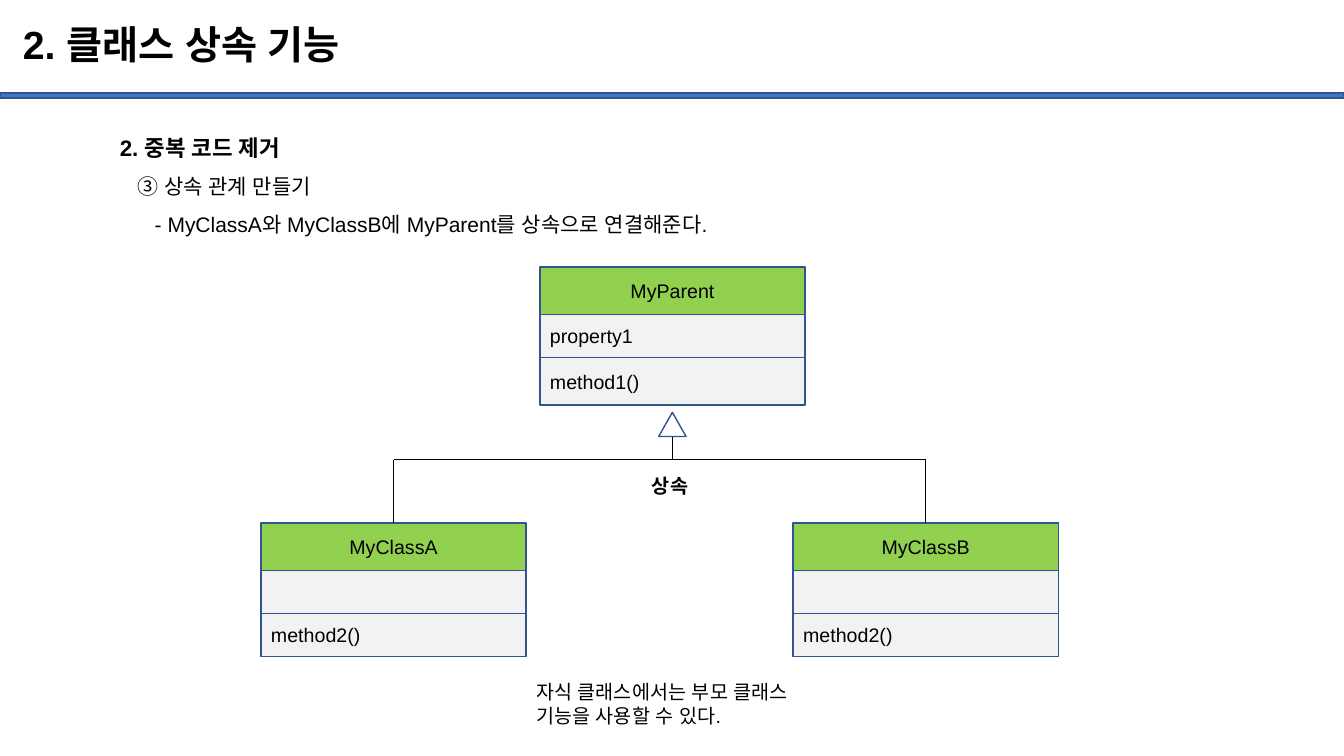
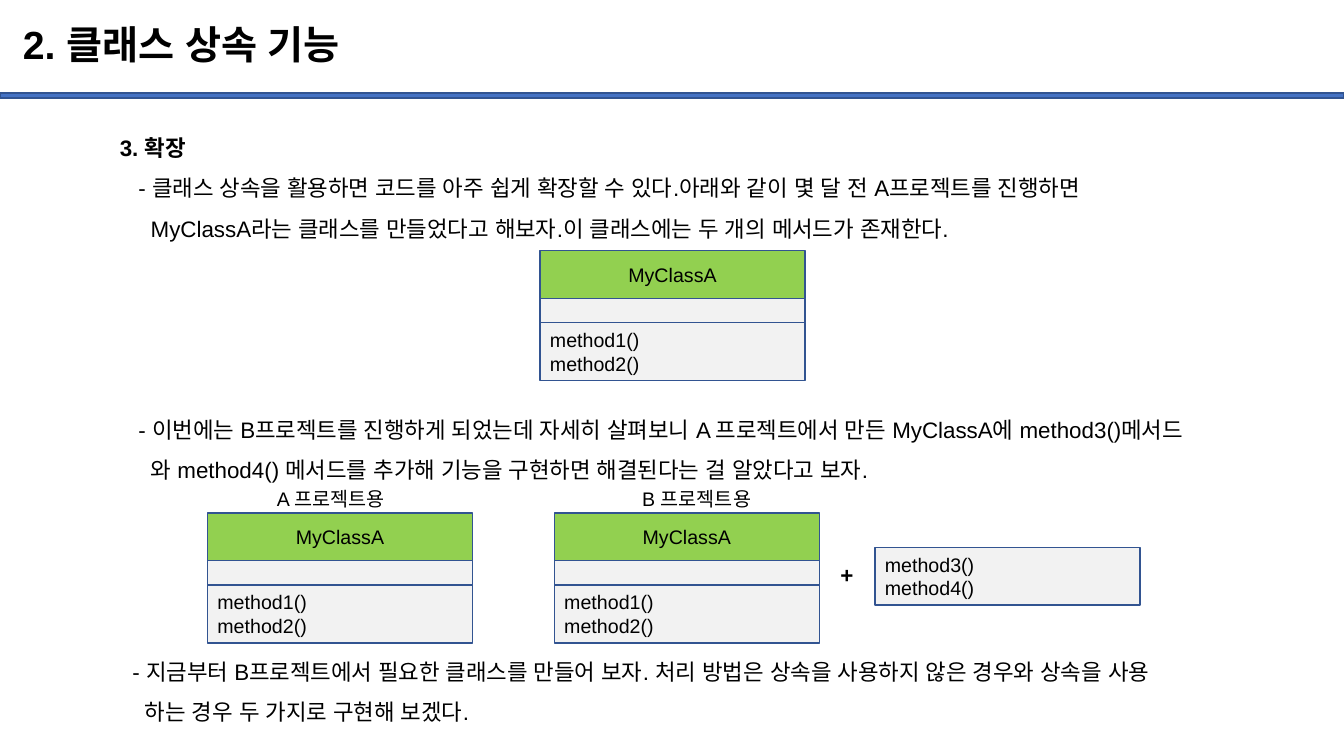
from copy import deepcopy

from lxml.etree import SubElement
from pptx import Presentation
from pptx.dml.color import RGBColor
from pptx.enum.lang import MSO_LANGUAGE_ID
from pptx.enum.shapes import MSO_CONNECTOR, MSO_SHAPE
from pptx.enum.text import MSO_ANCHOR, MSO_AUTO_SIZE, PP_ALIGN
from pptx.oxml.ns import qn
from pptx.util import Cm, Pt

COLORS = {
    "band": "4472C4",
    "outline": "325491",
    "header": "92D050",
    "member": "F2F2F2",
    "ink": "000000",
}
FONT = "Arial"
TITLE = "2. 클래스 상속 기능"
BOX_WIDTH = 6.68
HEADER, MEMBER, EMPTY, TWO_METHODS = 1.2, 1.08, 0.61, 1.46


def format_text(paragraphs, size, bold=False):
    for paragraph in paragraphs:
        for run in paragraph.runs:
            run.font.name = FONT
            run.font.size = Pt(size)
            run.font.bold = bold
            run.font.color.rgb = RGBColor.from_string(COLORS["ink"])
            run.font.language_id = MSO_LANGUAGE_ID.KOREAN
            SubElement(run._r.rPr, qn("a:ea"), typeface=FONT)
        # Line breaks take the size of the text around them
        for line_break in paragraph._p.findall(qn("a:br")):
            line_break.append(deepcopy(paragraph.runs[0]._r.rPr))


def add_class_box(slide, left, top, rows):
    """Stack rows of (height, colour name, text) and return the top one."""
    stack = []
    for height, color, text in rows:
        row = slide.shapes.add_shape(
            MSO_SHAPE.RECTANGLE, Cm(left), Cm(top), Cm(BOX_WIDTH), Cm(height))
        row.shadow.inherit = False
        row.fill.solid()
        row.fill.fore_color.rgb = RGBColor.from_string(COLORS[color])
        row.line.color.rgb = RGBColor.from_string(COLORS["outline"])
        row.line.width = Pt(1)
        if text:
            row.text_frame.text = text
            row.text_frame.vertical_anchor = MSO_ANCHOR.MIDDLE
            for paragraph in row.text_frame.paragraphs:
                paragraph.alignment = PP_ALIGN.CENTER if color == "header" else PP_ALIGN.LEFT
            format_text(row.text_frame.paragraphs, 14)
        stack.append(row)
        top += height
    return stack[0]


prs = Presentation()
prs.slide_width, prs.slide_height = Cm(33.87), Cm(19.05)

# Body paragraphs: text, size, bold, left indent, hanging indent, space before
bodies = [
    [
        ("2. 중복 코드 제거", 16, True, 0, 0, 0),
        ("③ 상속 관계 만들기", 15, False, 0.44, 0, 0),
        ("- MyClassA와 MyClassB에 MyParent를 상속으로 연결해준다.", 15, False, 0.88, 0, 0),
    ],
    [
        ("3. 확장", 16, True, 0, 0, 0),
        ("- 클래스 상속을 활용하면 코드를 아주 쉽게 확장할 수 있다.아래와 같이 몇 달 전 A프로젝트를 진행하면\n"
         "MyClassA라는 클래스를 만들었다고 해보자.이 클래스에는 두 개의 메서드가 존재한다.",
         16, False, 0.78, 0.31, 0),
        ("- 이번에는 B프로젝트를 진행하게 되었는데 자세히 살펴보니 A 프로젝트에서 만든 MyClassA에 method3()메서드\n"
         "와 method4() 메서드를 추가해 기능을 구현하면 해결된다는 걸 알았다고 보자.",
         16, False, 0.78, 0.31, 115),
        ("- 지금부터 B프로젝트에서 필요한 클래스를 만들어 보자. 처리 방법은 상속을 사용하지 않은 경우와 상속을 사용\n"
         "하는 경우 두 가지로 구현해 보겠다.",
         16, False, 0.63, 0.31, 115),
    ],
]

# Labels: text, left, top, width, height, size, bold
labels = [
    [
        ("자식 클래스에서는 부모 클래스\n기능을 사용할 수 있다.", 13.26, 17.02, 7.7, 1.45, 14, False),
        ("상속", 16.18, 11.81, 1.5, 0.86, 14, True),
    ],
    [
        ("+", 20.93, 14.02, 0.91, 0.94, 16, True),
        ("A 프로젝트용", 6.73, 12.14, 3.51, 0.86, 14, False),
        ("B 프로젝트용", 15.93, 12.14, 3.48, 0.86, 14, False),
    ],
]

# Band, title, body and labels of both slides
slides = []
for body_lines, slide_labels in zip(bodies, labels):
    slide = prs.slides.add_slide(prs.slide_layouts[6])
    slides.append(slide)

    band = slide.shapes.add_shape(MSO_SHAPE.RECTANGLE, 0, Cm(2.34), prs.slide_width, Cm(0.13))
    band.shadow.inherit = False
    band.fill.solid()
    band.fill.fore_color.rgb = RGBColor.from_string(COLORS["band"])
    band.line.color.rgb = RGBColor.from_string(COLORS["outline"])
    band.line.width = Pt(1)

    title = slide.shapes.add_textbox(Cm(0.33), Cm(0.25), Cm(29.21), Cm(1.88)).text_frame
    title.word_wrap = True
    title.vertical_anchor = MSO_ANCHOR.MIDDLE
    title.text = TITLE
    title.paragraphs[0].line_spacing = 0.9
    format_text(title.paragraphs, 28, True)

    body = slide.shapes.add_textbox(Cm(2.77), Cm(2.92), Cm(29.77), Cm(15.5)).text_frame
    body.word_wrap = True
    for number, (text, size, bold, indent, hang, gap) in enumerate(body_lines):
        paragraph = body.add_paragraph() if number else body.paragraphs[0]
        paragraph.text = text
        paragraph.line_spacing = 1.5
        paragraph.space_before = Pt(gap)
        properties = paragraph._p.get_or_add_pPr()
        properties.set("marL", str(Cm(indent)))
        properties.set("indent", str(-Cm(hang)))
        format_text([paragraph], size, bold)

    for text, left, top, width, height, size, bold in slide_labels:
        label = slide.shapes.add_textbox(Cm(left), Cm(top), Cm(width), Cm(height)).text_frame
        label.word_wrap = False
        label.auto_size = MSO_AUTO_SIZE.SHAPE_TO_FIT_TEXT
        label.text = text
        format_text(label.paragraphs, size, bold)

inheritance, extension = slides

# Slide 1: parent class and its two children
add_class_box(inheritance, 13.61, 6.73, [
    (HEADER, "header", "MyParent"),
    (MEMBER, "member", "property1"),
    (HEADER, "member", "method1()"),
])
children = [
    add_class_box(inheritance, left, 13.18, [
        (HEADER, "header", name),
        (MEMBER, "member", ""),
        (MEMBER, "member", "method2()"),
    ])
    for name, left in (("MyClassA", 6.58), ("MyClassB", 19.99))
]

# Slide 1: inheritance arrow with a branch to each child
arrowhead = inheritance.shapes.add_shape(
    MSO_SHAPE.ISOSCELES_TRIANGLE, Cm(16.6), Cm(10.39), Cm(0.69), Cm(0.61))
arrowhead.shadow.inherit = False
arrowhead.fill.background()
arrowhead.line.color.rgb = RGBColor.from_string(COLORS["outline"])
arrowhead.line.width = Pt(1)

fork = Cm(11.58)
stem_x = arrowhead.left + arrowhead.width // 2
child_x = [child.left + child.width // 2 for child in children]
branches = [
    (stem_x, Cm(11), stem_x, fork, None),
    (child_x[0], fork, child_x[1], fork, None),
    (child_x[0], fork, child_x[0], children[0].top, children[0]),
    (child_x[1], fork, child_x[1], children[1].top, children[1]),
]
for x1, y1, x2, y2, child in branches:
    branch = inheritance.shapes.add_connector(MSO_CONNECTOR.STRAIGHT, x1, y1, x2, y2)
    branch.line.color.rgb = RGBColor.from_string(COLORS["ink"])
    branch.line.width = Pt(0.75)
    SubElement(branch._element.spPr, qn("a:effectLst"))
    if child is not None:
        branch.end_connect(child, 0)

# Slide 2: the same class three times, then the added methods
for left, top in ((13.61, 6.32), (5.23, 12.93), (13.97, 12.93)):
    add_class_box(extension, left, top, [
        (HEADER, "header", "MyClassA"),
        (EMPTY, "member", ""),
        (TWO_METHODS, "member", "method1()\nmethod2()"),
    ])
add_class_box(extension, 22.05, 13.79, [(TWO_METHODS, "member", "method3()\nmethod4()")])

prs.save("out.pptx")
